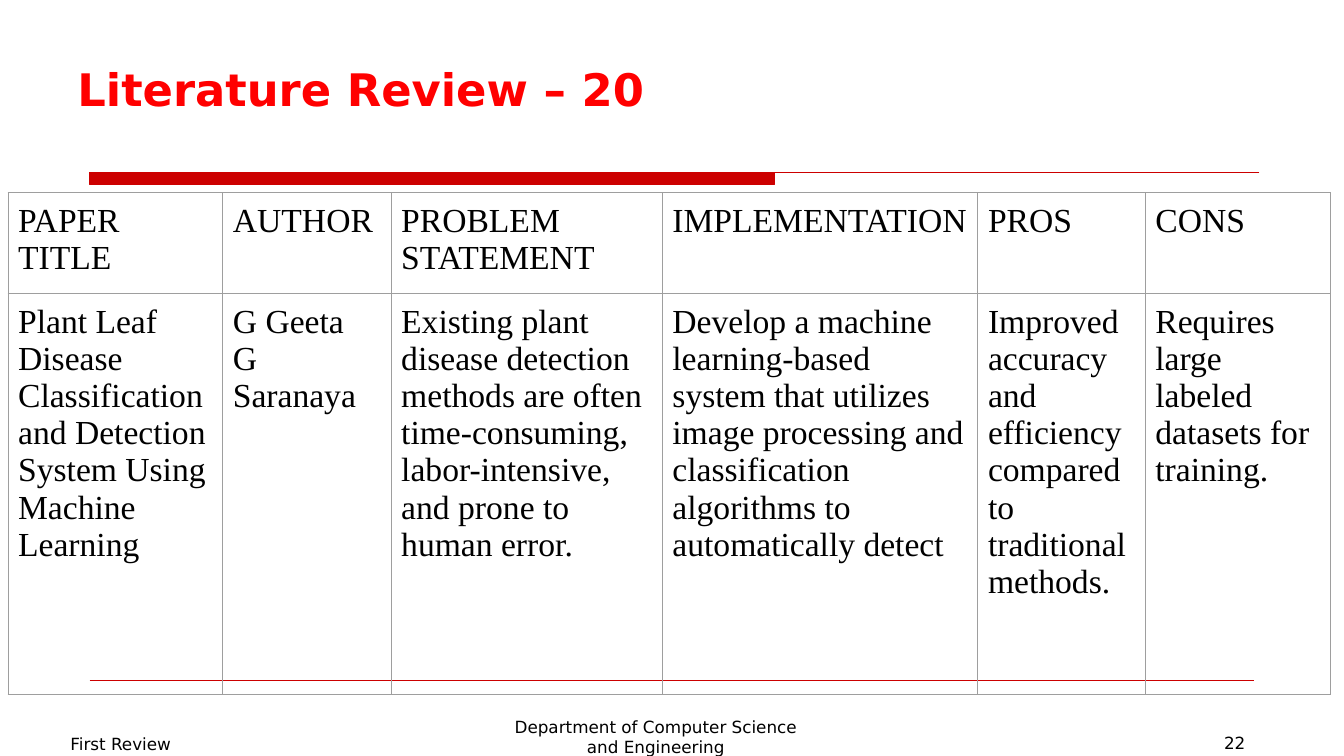
from lxml import etree
from pptx import Presentation
from pptx.dml.color import RGBColor
from pptx.enum import shapes, text
from pptx.oxml import ns

PX = 9144  # one px is a hundredth of an inch
POINT = 12700
COLORS = {"rule": "CC0000", "title": "FF0000", "ink": "000000", "grid": "9E9E9E"}
SANS, SERIF = "DejaVu Sans", "Times New Roman"


def write(frame, content, font=SANS, size=12, color="ink", bold=False,
          align=text.PP_ALIGN.LEFT, anchor=text.MSO_ANCHOR.TOP, inset=10):
    """Fill a text frame or table cell; the inset is vertical, the sides stay at 10 px."""
    frame.margin_left = frame.margin_right = 10 * PX
    frame.margin_top = frame.margin_bottom = inset * PX
    frame.vertical_anchor = anchor
    frame.word_wrap = True
    frame.text = content
    for paragraph in frame.paragraphs:
        paragraph.alignment = align
        for run in paragraph.runs:
            run.font.name, run.font.size = font, size * POINT
            run.font.bold = bold
            run.font.color.rgb = RGBColor.from_string(COLORS[color])


def draw_borders(cell):
    properties = cell._tc.get_or_add_tcPr()
    for side in ("lnL", "lnR", "lnT", "lnB"):
        border = etree.SubElement(properties, ns.qn(f"a:{side}"), w=str(POINT * 3 // 4))
        solid = etree.SubElement(border, ns.qn("a:solidFill"))
        etree.SubElement(solid, ns.qn("a:srgbClr"), val=COLORS["grid"])


deck = Presentation()
deck.slide_width, deck.slide_height = 1333 * PX, 750 * PX
slide = deck.slides.add_slide(deck.slide_layouts[6])
rule_color = RGBColor.from_string(COLORS["rule"])

# Thick bar and thin line under the title
outline = slide.shapes.build_freeform(89, 171, scale=PX)
outline.add_line_segments([(768, 171), (768, 183), (89, 183)], close=True)
outline.move_to(89, 171)
outline.add_line_segments([(1249, 171)], close=False)
title_rule = outline.convert_to_shape()
title_rule.shadow.inherit = False
title_rule.fill.solid()
title_rule.fill.fore_color.rgb = rule_color

footer_rule = slide.shapes.add_connector(
    shapes.MSO_CONNECTOR.STRAIGHT, 89 * PX, 675 * PX, 1244 * PX, 675 * PX)
etree.SubElement(footer_rule._element.spPr, ns.qn("a:effectLst"))
for rule in (title_rule, footer_rule):
    rule.line.color.rgb = rule_color
    rule.line.width = POINT * 3 // 4

# Title and footer: left, top, width, height, wording, format
labels = [
    (67, -13, 1167, 133, "Literature Review – 20",
     dict(size=32, color="title", bold=True, anchor=text.MSO_ANCHOR.BOTTOM, inset=5)),
    (956, 722, 289, 52, "22", dict(align=text.PP_ALIGN.RIGHT, inset=5)),
    (490, 701, 321, 61, "Department of Computer Science and Engineering",
     dict(align=text.PP_ALIGN.CENTER)),
    (60, 718, 328, 40, "First Review", {}),
]
for left, top, width, height, wording, style in labels:
    label = slide.shapes.add_textbox(left * PX, top * PX, width * PX, height * PX)
    write(label.text_frame, wording, **style)

# Review table: width, heading, finding
columns = [
    (213, "PAPER\vTITLE",
     "Plant Leaf Disease Classification and Detection System Using Machine Learning"),
    (167, "AUTHOR", "G Geeta\nG Saranaya"),
    (269, "PROBLEM STATEMENT",
     "Existing plant disease detection methods are often time-consuming, "
     "labor-intensive, and prone to human error."),
    (313, "IMPLEMENTATION",
     "Develop a machine learning-based system that utilizes image processing and "
     "classification algorithms to automatically detect"),
    (166, "PROS",
     "Improved accuracy and efficiency compared to traditional methods."),
    (184, "CONS", "Requires large labeled datasets for training."),
]
row_heights = [97, 398]
table_width = sum(width for width, *_ in columns)
review = slide.shapes.add_table(len(row_heights), len(columns), 8 * PX, 191 * PX,
                                table_width * PX, sum(row_heights) * PX).table
review.first_row = review.horz_banding = False
for row, height in zip(review.rows, row_heights):
    row.height = height * PX
for c, (width, *entries) in enumerate(columns):
    review.columns[c].width = width * PX
    for r, entry in enumerate(entries):
        cell = review.cell(r, c)
        # A cell has its text in a frame but its margins on itself
        write(cell.text_frame, entry, font=SERIF, size=24)
        cell.margin_left = cell.margin_right = 10 * PX
        cell.margin_top = cell.margin_bottom = 10 * PX
        draw_borders(cell)
        cell.fill.background()

deck.save("out.pptx")
